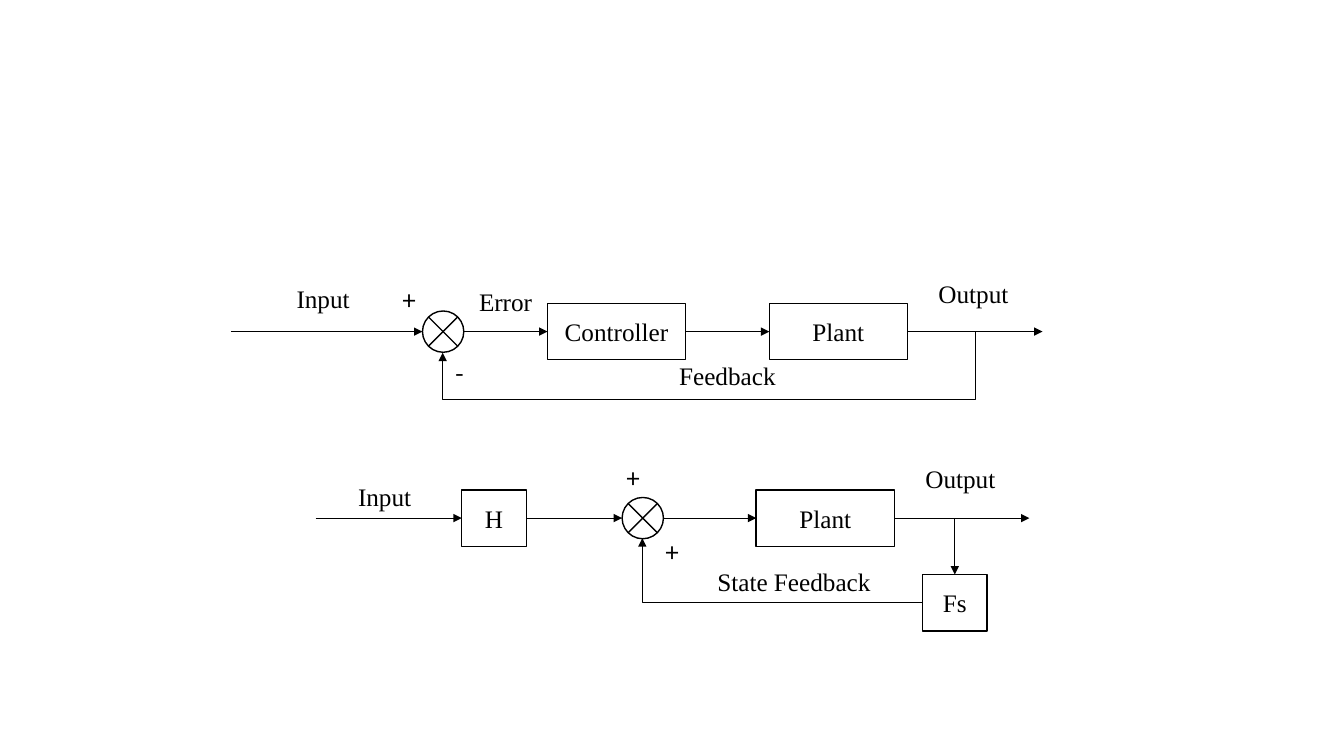
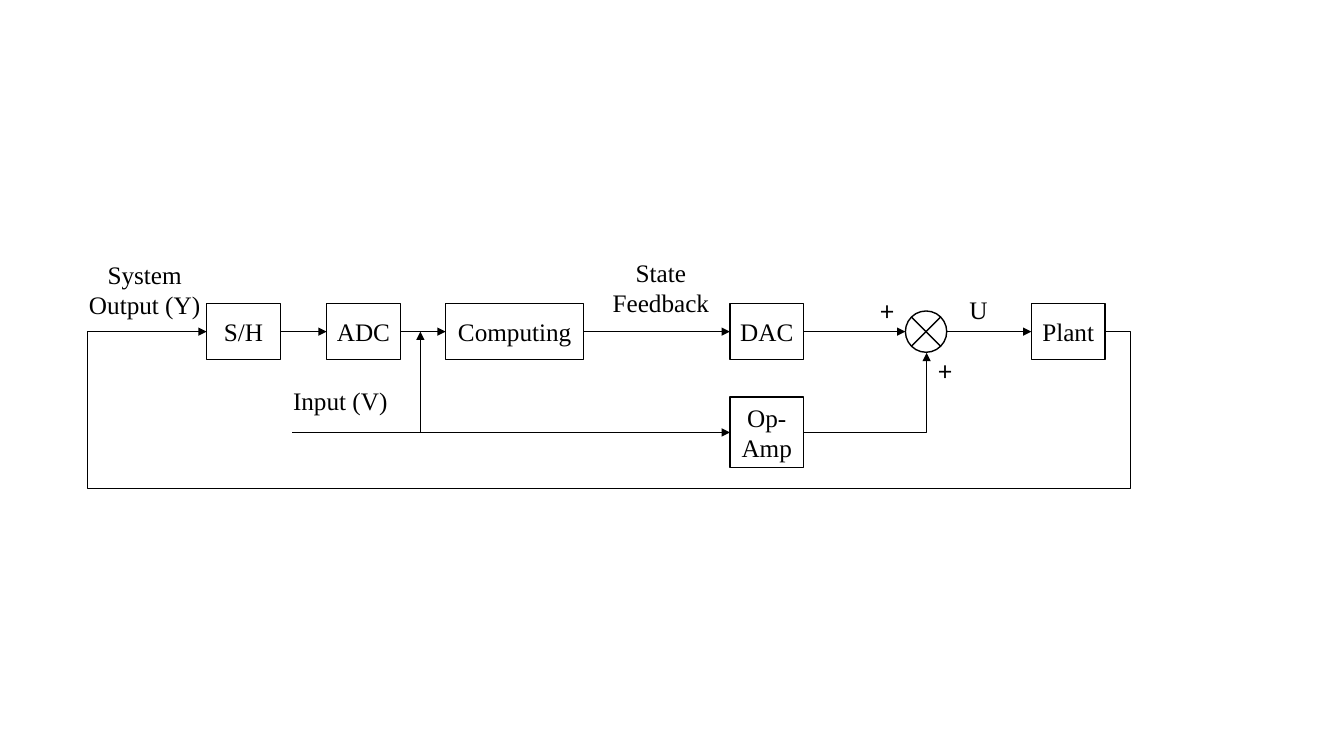
import pptx
import pptx.dml.color
import pptx.enum.shapes
import pptx.enum.text
import pptx.oxml.ns
import pptx.util
from lxml import etree

Inches = pptx.util.Inches
Pt = pptx.util.Pt
qn = pptx.oxml.ns.qn
SHAPE = pptx.enum.shapes.MSO_SHAPE
ANCHOR = pptx.enum.text.MSO_ANCHOR
ALIGN = pptx.enum.text.PP_ALIGN

# Shared style
COLORS = {"ink": "000000", "paper": "FFFFFF"}
TEXT_FONT = "Times New Roman"
SIGN_FONT = "Noto Sans CJK SC"
BLOCK_W, BLOCK_H = 1.37, 0.56
TWO_LINE_H = 0.7
SMALL_W = 0.64
CHIP_W = 0.73
JUNCTION = 0.41


def color(name):
    return pptx.dml.color.RGBColor.from_string(COLORS[name])


def write(sp, text, font=TEXT_FONT, align=ALIGN.CENTER, anchor=ANCHOR.MIDDLE,
          wrap=True, inset=0.1):
    tf = sp.text_frame
    tf.word_wrap = wrap
    tf.vertical_anchor = anchor
    tf.margin_left = tf.margin_right = Inches(inset)
    p = tf.paragraphs[0]
    p.alignment = align
    r = p.add_run()
    r.text = text
    r.font.name = font
    r.font.size = Pt(18)
    r.font.color.rgb = color("ink")


def outlined(s, kind, x, y, w, h):
    sp = s.shapes.add_shape(kind, Inches(x), Inches(y), Inches(w), Inches(h))
    sp.shadow.inherit = False
    sp.fill.solid()
    sp.fill.fore_color.rgb = color("paper")
    sp.line.color.rgb = color("ink")
    sp.line.width = Pt(1)
    return sp


def block(s, text, x, mid, w=BLOCK_W, h=BLOCK_H):
    """Box whose left edge is x and whose vertical middle is mid."""
    sp = outlined(s, SHAPE.RECTANGLE, x, mid - h / 2, w, h)
    write(sp, text, inset=0.05)


def junction(s, x, mid):
    outlined(s, SHAPE.FLOWCHART_SUMMING_JUNCTION, x, mid - JUNCTION / 2,
             JUNCTION, JUNCTION)


def label(s, text, x, y, w=BLOCK_W):
    sp = s.shapes.add_textbox(Inches(x), Inches(y), Inches(w), Inches(BLOCK_H))
    write(sp, text)


def sign(s, text, x, y, w=0.37):
    sp = s.shapes.add_textbox(Inches(x), Inches(y), Inches(w), Inches(0.4))
    write(sp, text, font=SIGN_FONT, align=ALIGN.LEFT, anchor=ANCHOR.TOP, wrap=False)
    sp.text_frame.auto_size = pptx.enum.text.MSO_AUTO_SIZE.SHAPE_TO_FIT_TEXT


def arrow(s, *points):
    """Arrow through the points: a connector if straight, else an open outline."""
    pts = [(Inches(x), Inches(y)) for x, y in points]
    straight = len(pts) == 2
    if straight:
        sp = s.shapes.add_connector(pptx.enum.shapes.MSO_CONNECTOR.STRAIGHT,
                                    *pts[0], *pts[1])
    else:
        builder = s.shapes.build_freeform(*pts[0])
        builder.add_line_segments(pts[1:], close=False)
        sp = builder.convert_to_shape()
        sp.shadow.inherit = False
        sp.fill.background()
    sp.line.color.rgb = color("ink")
    sp.line.width = Pt(0.5)
    sp_pr = sp.element.spPr
    etree.SubElement(sp_pr.find(qn("a:ln")), qn("a:tailEnd"), type="triangle")
    if straight:
        etree.SubElement(sp_pr, qn("a:effectLst"))


def flow(s, mid, *spans):
    """Horizontal arrows along one signal line."""
    for x1, x2 in spans:
        arrow(s, (x1, mid), (x2, mid))


def error_feedback(s):
    mid = 3.29
    flow(s, mid, (2.29, 4.19), (4.6, 5.43), (6.8, 7.63), (9, 10.34))
    arrow(s, (9.67, mid), (9.67, 3.96), (4.39, 3.96), (4.39, 3.5))
    junction(s, 4.19, mid)
    block(s, "Controller", 5.43, mid)
    block(s, "Plant", 7.63, mid)
    sign(s, "+", 3.89, 2.78)
    sign(s, "-", 4.42, 3.5, w=0.33)
    label(s, "Input", 2.52, 2.68)
    label(s, "Error", 4.33, 2.71)
    label(s, "Output", 8.97, 2.63)
    label(s, "Feedback", 6.53, 3.44)


def state_feedback(s):
    mid, low = 5.14, 5.98
    flow(s, mid, (3.13, 4.58), (5.22, 6.17), (6.58, 7.5), (8.87, 10.21))
    arrow(s, (9.47, mid), (9.47, 5.7))
    arrow(s, (9.15, low), (6.37, low), (6.37, 5.34))
    block(s, "H", 4.58, mid, w=SMALL_W)
    junction(s, 6.17, mid)
    block(s, "Plant", 7.5, mid)
    block(s, "Fs", 9.15, low, w=SMALL_W)
    sign(s, "+", 6.12, 4.55)
    sign(s, "+", 6.5, 5.28)
    label(s, "Input", 3.13, 4.65)
    label(s, "Output", 8.84, 4.47)
    label(s, "State Feedback", 6.84, 5.49, w=2.07)


def digital_loop(s):
    mid, low, bottom = 3.29, 4.29, 4.85
    # Signal lines
    flow(s, mid, (2.78, 3.24), (3.97, 4.42), (5.79, 7.24), (7.97, 8.98), (9.39, 10.23))
    flow(s, low, (2.9, 7.24))
    arrow(s, (4.17, low), (4.17, mid))
    arrow(s, (7.97, low), (9.19, low), (9.19, 3.5))
    arrow(s, (10.96, mid), (11.21, mid), (11.21, bottom), (0.87, bottom),
          (0.87, mid), (2.05, mid))
    # Blocks
    for text, x in (("S/H", 2.05), ("ADC", 3.24), ("DAC", 7.24), ("Plant", 10.23)):
        block(s, text, x, mid, w=CHIP_W)
    block(s, "Computing", 4.42, mid)
    block(s, "Op-Amp", 7.24, low, w=CHIP_W, h=TWO_LINE_H)
    junction(s, 8.98, mid)
    # Labels
    sign(s, "+", 8.63, 2.89)
    sign(s, "+", 9.21, 3.49)
    label(s, "System Output (Y)", 0.75, 2.59)
    label(s, "State Feedback", 5.87, 2.57)
    label(s, "Input (V)", 2.69, 3.69)
    label(s, "U", 9.02, 2.79)


def main():
    prs = pptx.Presentation()
    prs.slide_width, prs.slide_height = Inches(13.33), Inches(7.5)
    for diagrams in ((error_feedback, state_feedback), (digital_loop,)):
        s = prs.slides.add_slide(prs.slide_layouts[6])
        for draw in diagrams:
            draw(s)
    prs.save("out.pptx")


main()
